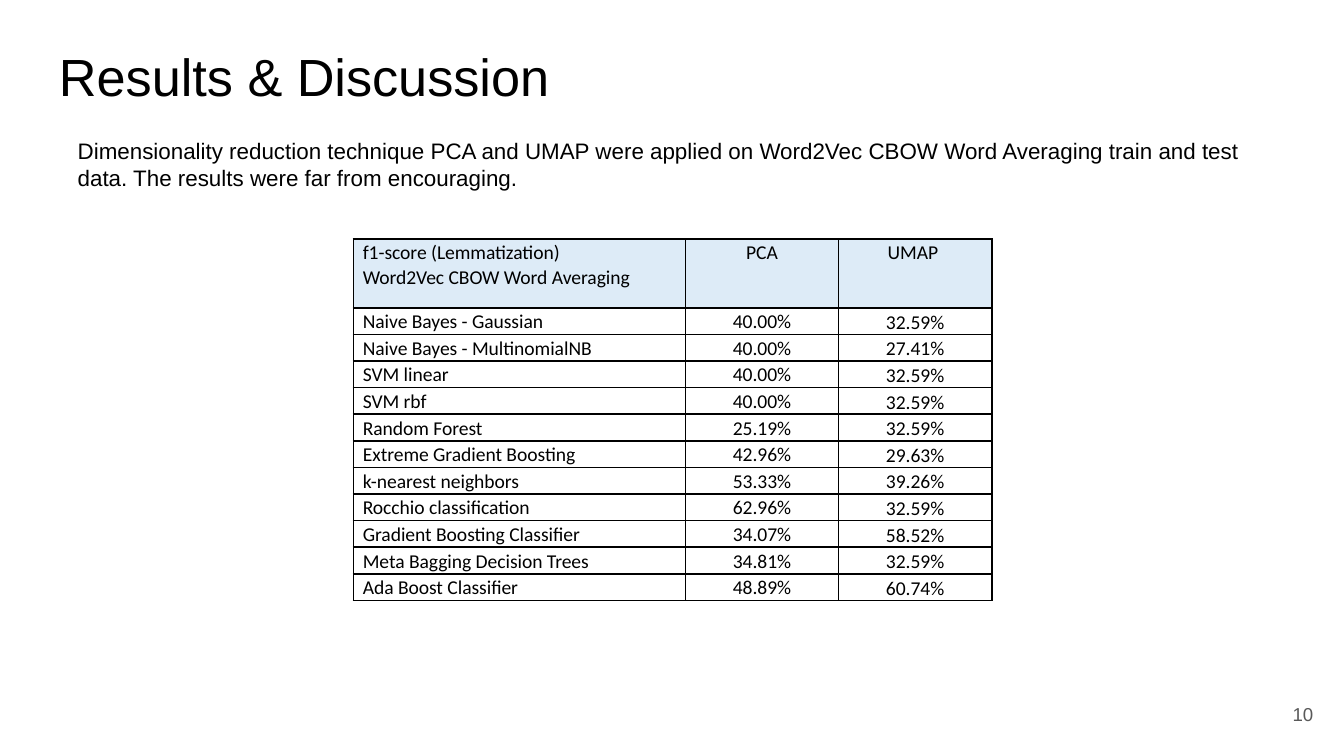
"""Build the results slide comparing PCA and UMAP f1-scores."""
from copy import deepcopy

from lxml import etree
from pptx import Presentation
from pptx.dml.color import RGBColor
from pptx.enum.text import MSO_ANCHOR, PP_ALIGN
from pptx.oxml.ns import qn
from pptx.util import Inches, Pt

LEFT, CENTER, RIGHT = PP_ALIGN.LEFT, PP_ALIGN.CENTER, PP_ALIGN.RIGHT
TOP, MIDDLE, BOTTOM = MSO_ANCHOR.TOP, MSO_ANCHOR.MIDDLE, MSO_ANCHOR.BOTTOM

TITLE = "Results & Discussion"
SUMMARY = (
    "Dimensionality reduction technique PCA and UMAP were applied on "
    "Word2Vec CBOW Word Averaging train and test data. "
    "The results were far from encouraging."
)
PAGE_NUMBER = "10"
HEADER = ("f1-score (Lemmatization)\nWord2Vec CBOW Word Averaging", "PCA", "UMAP ")
SCORES = [
    ("Naive Bayes - Gaussian", "40.00%", "32.59%"),
    ("Naive Bayes - MultinomialNB", "40.00%", "27.41%"),
    ("SVM linear", "40.00%", "32.59%"),
    ("SVM rbf", "40.00%", "32.59%"),
    ("Random Forest", "25.19%", "32.59%"),
    ("Extreme Gradient Boosting", "42.96%", "29.63%"),
    ("k-nearest neighbors", "53.33%", "39.26%"),
    ("Rocchio classification", "62.96%", "32.59%"),
    ("Gradient Boosting Classifier", "34.07%", "58.52%"),
    ("Meta Bagging Decision Trees", "34.81%", "32.59%"),
    ("Ada Boost Classifier", "48.89%", "60.74%"),
]
COLUMN_WIDTHS = (2.47, 1.14, 1.14)
COLUMN_ALIGNMENTS = (LEFT, CENTER, CENTER)
BODY_ANCHORS = (MIDDLE, MIDDLE, BOTTOM)
TABLE_HEIGHT, HEADER_HEIGHT = 2.69, 0.51

THEME = {
    "title": ("Arial", 28, "000000"),
    "summary": ("Arial", 12, "000000"),
    "page": ("Arial", 10, "595959"),
    "table": ("Calibri", 10.5, "000000"),
    "header_fill": "DDEBF7",
    "border": "000000",
    "border_width": 1,
}


def write_text(paragraph, text, style, alignment=LEFT):
    name, size, color = THEME[style]
    paragraph.alignment = alignment
    for index, line in enumerate(text.split("\n")):
        if index:
            paragraph.add_line_break()
        run = paragraph.add_run()
        run.text = line
        run.font.name = name
        run.font.size = Pt(size)
        run.font.color.rgb = RGBColor.from_string(color)
        for line_break in paragraph._p.findall(qn("a:br")):
            if len(line_break) == 0:
                line_break.append(deepcopy(run._r.rPr))


def add_text(slide, box, text, style, alignment=LEFT, anchor=TOP, margins=(0.1, 0.1)):
    shape = slide.shapes.add_textbox(*(Inches(value) for value in box))
    frame = shape.text_frame
    frame.word_wrap = True
    frame.vertical_anchor = anchor
    frame.margin_left = frame.margin_right = Inches(margins[0])
    frame.margin_top = frame.margin_bottom = Inches(margins[1])
    write_text(frame.paragraphs[0], text, style, alignment)


def add_borders(cell):
    properties = cell._tc.get_or_add_tcPr()
    for side in ("a:lnL", "a:lnR", "a:lnT", "a:lnB"):
        line = etree.SubElement(properties, qn(side), w=str(Pt(THEME["border_width"])))
        fill = etree.SubElement(line, qn("a:solidFill"))
        etree.SubElement(fill, qn("a:srgbClr"), val=THEME["border"])


def add_score_table(slide, left, top):
    rows = [HEADER, *SCORES]
    row_height = (TABLE_HEIGHT - HEADER_HEIGHT) / len(SCORES)
    heights = [HEADER_HEIGHT] + [row_height] * len(SCORES)
    frame = slide.shapes.add_table(
        len(rows), len(HEADER), Inches(left), Inches(top),
        Inches(sum(COLUMN_WIDTHS)), Inches(TABLE_HEIGHT),
    )
    table = frame.table
    table.first_row = table.horz_banding = False
    for column, width in zip(table.columns, COLUMN_WIDTHS):
        column.width = Inches(width)
    for row_index, (texts, height) in enumerate(zip(rows, heights)):
        table.rows[row_index].height = Inches(height)
        for column_index, text in enumerate(texts):
            cell = table.cell(row_index, column_index)
            cell.margin_left = cell.margin_right = Inches(0.07)
            cell.margin_top = cell.margin_bottom = 0
            cell.vertical_anchor = BODY_ANCHORS[column_index] if row_index else TOP
            add_borders(cell)
            if row_index:
                cell.fill.background()
            else:
                cell.fill.solid()
                cell.fill.fore_color.rgb = RGBColor.from_string(THEME["header_fill"])
            paragraph = cell.text_frame.paragraphs[0]
            paragraph.line_spacing = 1.07
            write_text(paragraph, text, "table", COLUMN_ALIGNMENTS[column_index])


def main():
    presentation = Presentation()
    presentation.slide_width = Inches(10)
    presentation.slide_height = presentation.slide_width * 9 // 16
    slide = presentation.slides.add_slide(presentation.slide_layouts[6])
    add_text(slide, (0.34, 0.23, 9.32, 0.63), TITLE, "title")
    add_text(slide, (9.27, 5.1, 0.6, 0.43), PAGE_NUMBER, "page", RIGHT, MIDDLE)
    add_score_table(slide, 2.63, 1.78)
    add_text(slide, (0.48, 0.97, 8.93, 0.5), SUMMARY, "summary", margins=(0.1, 0.05))
    presentation.save("out.pptx")


if __name__ == "__main__":
    main()
